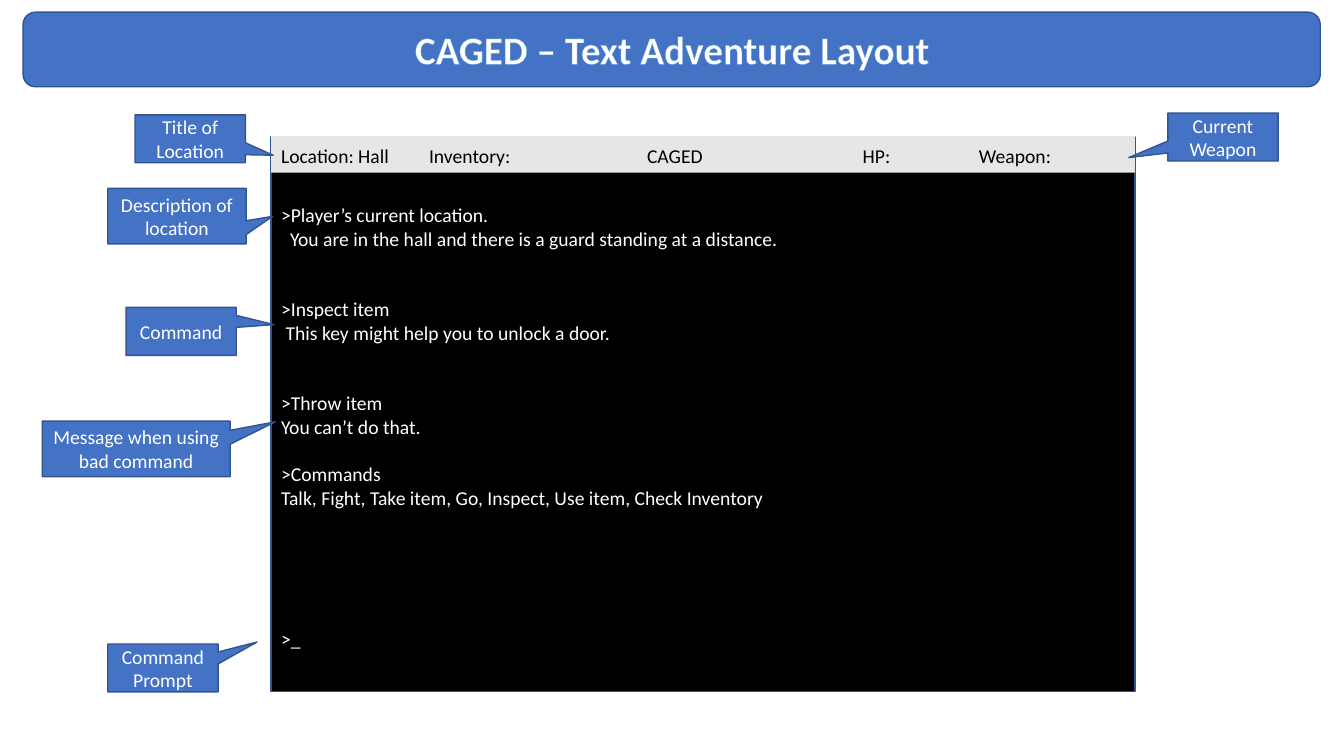
from lxml import etree
from pptx import Presentation
from pptx import util as u
from pptx.dml import color
from pptx.enum import shapes, text
from pptx.oxml import ns

BLUE, EDGE, WHITE, BLACK = "4472C4", "325491", "FFFFFF", "000000"
LINE_HEIGHT = 16.8


def add_block(kind, left, top, width, height, fill, edge=None):
    block = page.shapes.add_shape(kind, u.Pt(left), u.Pt(top), u.Pt(width), u.Pt(height))
    block.shadow.inherit = False
    block.fill.solid()
    block.fill.fore_color.rgb = color.RGBColor.from_string(fill)
    if edge:
        block.line.color.rgb = color.RGBColor.from_string(edge)
        block.line.width = u.Pt(1)
    else:
        block.line.fill.background()
    return block


def write(box, lines, ink, size=14, align=text.PP_ALIGN.LEFT):
    frame = box.text_frame
    frame.word_wrap = True
    frame.text = "\n".join(lines)
    for para in frame.paragraphs:
        para.alignment = align
        para.font.name = "Calibri"
        para.font.size = u.Pt(size)
        para.font.color.rgb = color.RGBColor.from_string(ink)
    return frame.paragraphs


deck = Presentation()
deck.slide_width, deck.slide_height = u.Pt(960), u.Pt(540)
page = deck.slides.add_slide(deck.slide_layouts[6])

add_block(shapes.MSO_SHAPE.ROUNDED_RECTANGLE, 16.5, 8.7, 926.6, 53.3, BLUE, EDGE)
add_block(shapes.MSO_SHAPE.RECTANGLE, 193.7, 97.9, 617, 396, BLACK, EDGE)
add_block(shapes.MSO_SHAPE.RECTANGLE, 193.7, 97.2, 617, 26.2, "E7E6E6")

console_lines = [
    (">Player’s current location.", 0, 0),
    ("You are in the hall and there is a guard standing at a distance.", 0, 6.4),
    (">Inspect item", 2, 0),
    ("This key might help you to unlock a door.", 0, 3.2),
    (">Throw item", 2, 0),
    ("You can’t do that.", 0, 0),
    (">Commands", 1, 0),
    ("Talk, Fight, Take item, Go, Inspect, Use item, Check Inventory", 0, 0),
    (">_", 5, 0),
]
console = page.shapes.add_textbox(u.Pt(193.7), u.Pt(141.6), u.Pt(578), u.Pt(329))
console_paras = write(console, [line[0] for line in console_lines], WHITE)
for para, (_, gap_lines, indent) in zip(console_paras, console_lines):
    para.space_before = u.Pt(gap_lines * LINE_HEIGHT)
    para._p.get_or_add_pPr().set("marL", str(u.Pt(indent)))

status = page.shapes.add_textbox(u.Pt(193.7), u.Pt(99.6), u.Pt(609), u.Pt(24.2))
status_fields = ["Location: Hall", "Inventory:", "CAGED", "HP:", "Weapon:"]
status_para = write(status, ["\t".join(status_fields)], BLACK)[0]
tab_list = etree.Element(ns.qn("a:tabLst"))
for stop in (105.7, 261.4, 415.5, 498.5):
    etree.SubElement(tab_list, ns.qn("a:tab"), pos=str(u.Pt(stop)), algn="l")
status_para._p.pPr.find(ns.qn("a:defRPr")).addprevious(tab_list)

callouts = [
    ("Title of Location", 96.5, 82, 78.8, 34.2, 0.752, 0.345),
    ("Description of location", 77, 134.6, 98.8, 39.6, 0.691, 0.004),
    ("Current Weapon", 834.2, 80.8, 78.8, 34.2, -0.854, 0.429),
    ("Command", 90, 219.6, 78.8, 34.2, 0.843, -0.141),
    ("Command Prompt", 77, 460, 78.8, 34.2, 0.853, -0.542),
    ("Message when using bad command", 30.2, 300.8, 134.2, 39.6, 0.74, -0.487),
]
for label, left, top, width, height, tip_x, tip_y in callouts:
    callout = add_block(shapes.MSO_SHAPE.RECTANGULAR_CALLOUT, left, top, width, height, BLUE, EDGE)
    callout.adjustments[0] = tip_x
    callout.adjustments[1] = tip_y
    callout.text_frame.vertical_anchor = text.MSO_ANCHOR.MIDDLE
    write(callout, [label], WHITE, align=text.PP_ALIGN.CENTER)

title = page.shapes.add_textbox(u.Pt(36), u.Pt(14.4), u.Pt(888), u.Pt(41))
title_para = write(title, ["CAGED – Text Adventure Layout"], WHITE, 28, text.PP_ALIGN.CENTER)[0]
title_para.font.bold = True
outline = etree.Element(ns.qn("a:ln"), w=str(u.Pt(0.8)))
outline_fill = etree.SubElement(outline, ns.qn("a:solidFill"))
etree.SubElement(outline_fill, ns.qn("a:srgbClr"), val="5B9BD5")
title_para.runs[0]._r.get_or_add_rPr().insert(0, outline)

deck.save("out.pptx")
